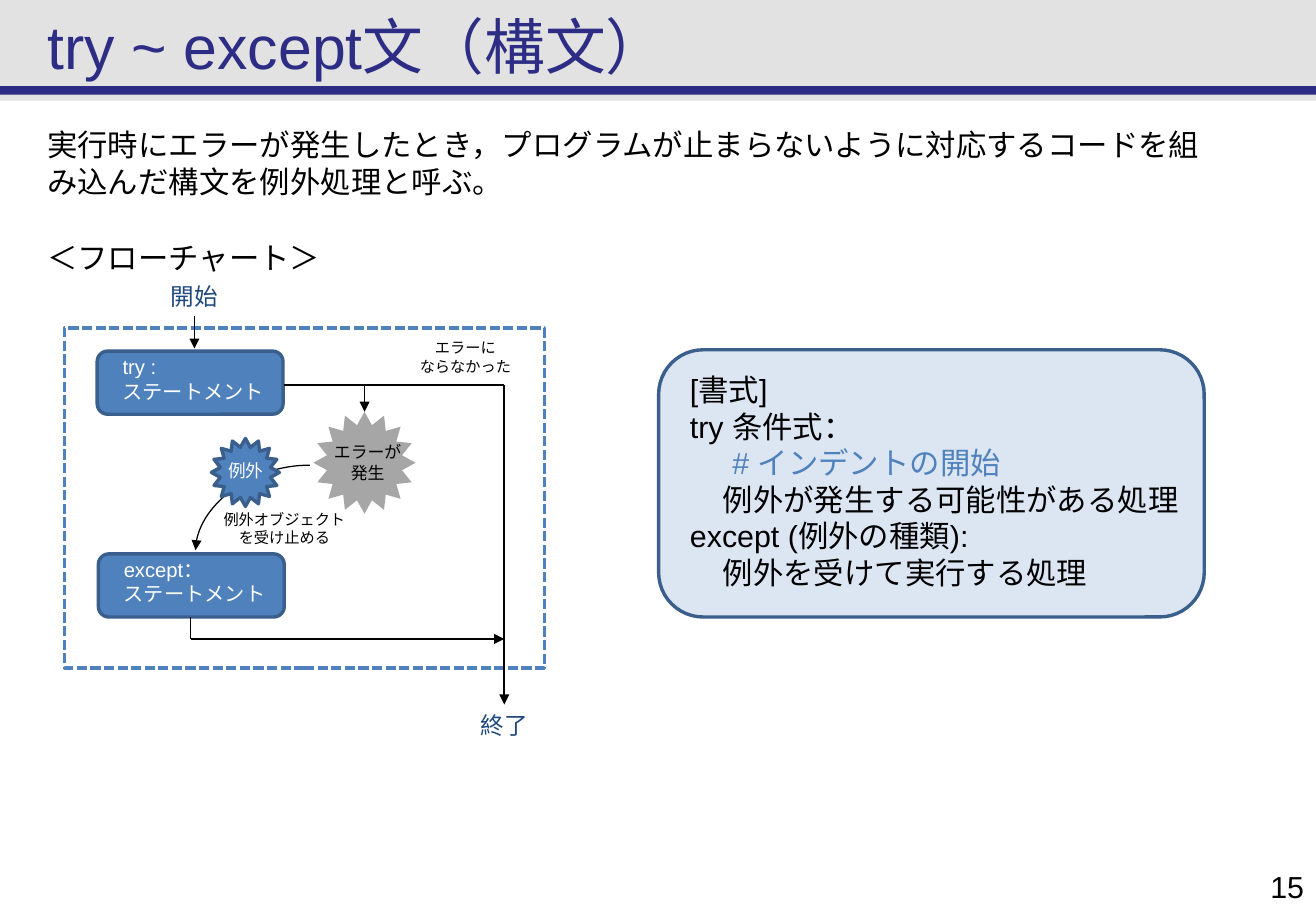
from dataclasses import dataclass

import lxml.etree
import pptx
import pptx.dml.color
import pptx.enum.dml
import pptx.enum.shapes
import pptx.enum.text
import pptx.oxml.ns
import pptx.util

Inches = pptx.util.Inches
Pt = pptx.util.Pt
SHAPE = pptx.enum.shapes.MSO_SHAPE
CONNECTOR = pptx.enum.shapes.MSO_CONNECTOR
ALIGN = pptx.enum.text.PP_ALIGN
ANCHOR = pptx.enum.text.MSO_ANCHOR
qn = pptx.oxml.ns.qn


@dataclass(frozen=True)
class Theme:
    latin: str = "Arial"
    japanese: str = "Noto Sans CJK JP"
    black: str = "000000"
    white: str = "FFFFFF"
    banner: str = "E2E2E2"
    navy: str = "2D2D85"
    blue: str = "4F81BD"
    outline: str = "3A5F8C"
    panel: str = "DCE6F2"
    error: str = "A6A6A6"
    terminal: str = "1F497D"
    title_size: float = 36
    body_size: float = 18
    terminal_size: float = 14
    step_size: float = 12
    exception_size: float = 10.5
    error_size: float = 10
    note_size: float = 9


@dataclass(frozen=True)
class Box:
    left: float
    top: float
    width: float
    height: float

    def inner(self, left, top, width, height):
        return Box(self.left + left, self.top + top, width, height)

    def point(self, x, y):
        return self.left + x, self.top + y

    def lengths(self):
        return [Inches(v) for v in (self.left, self.top, self.width, self.height)]


THEME = Theme()


def rgb(color):
    return pptx.dml.color.RGBColor.from_string(color)


def add_text(slide, box, text, size=THEME.body_size, color=THEME.black, align=ALIGN.LEFT,
             anchor=ANCHOR.TOP, indents=None, line_colors=None):
    frame = slide.shapes.add_textbox(*box.lengths()).text_frame
    frame.word_wrap = True
    frame.vertical_anchor = anchor
    for index, line in enumerate(text.split("\n")):
        paragraph = frame.paragraphs[0] if index == 0 else frame.add_paragraph()
        paragraph.alignment = align
        if indents and index in indents:
            paragraph._p.get_or_add_pPr().set("marL", str(Inches(indents[index])))
        run = paragraph.add_run()
        run.text = line
        run.font.size = Pt(size)
        run.font.name = THEME.latin
        run.font.color.rgb = rgb((line_colors or {}).get(index, color))
        properties = run._r.get_or_add_rPr()
        lxml.etree.SubElement(properties, qn("a:ea")).set("typeface", THEME.japanese)


def add_block(slide, box, kind, fill=None, line=None, dashed=False):
    block = slide.shapes.add_shape(kind, *box.lengths())
    block.shadow.inherit = False
    if fill:
        block.fill.solid()
        block.fill.fore_color.rgb = rgb(fill)
    else:
        block.fill.background()
    if line:
        block.line.color.rgb = rgb(line)
        block.line.width = Pt(2)
        if dashed:
            block.line.dash_style = pptx.enum.dml.MSO_LINE.SQUARE_DOT
    else:
        block.line.fill.background()


def add_flow(slide, start, end, width=1, arrow=False, curved=False):
    kind = CONNECTOR.CURVE if curved else CONNECTOR.STRAIGHT
    flow = slide.shapes.add_connector(kind, *[Inches(v) for v in (*start, *end)])
    flow.line.color.rgb = rgb(THEME.black)
    flow.line.width = Pt(width)
    properties = flow._element.spPr
    if curved:
        properties.find(qn("a:prstGeom")).set("prst", "curvedConnector2")
    if arrow:
        tail = lxml.etree.SubElement(properties.find(qn("a:ln")), qn("a:tailEnd"))
        tail.set("type", "triangle")
    lxml.etree.SubElement(properties, qn("a:effectLst"))


def draw_banner(slide, box):
    add_block(slide, box, SHAPE.RECTANGLE, THEME.banner)
    add_block(slide, box.inner(0, 0.71, box.width, 0.07), SHAPE.RECTANGLE, THEME.navy)
    add_text(slide, box.inner(0.29, 0, 8.63, 0.75), "try ~ except文（構文）",
             size=THEME.title_size, color=THEME.navy, anchor=ANCHOR.MIDDLE)


def draw_page_number(slide, box):
    add_text(slide, box, "15", align=ALIGN.RIGHT, anchor=ANCHOR.MIDDLE)


def draw_introduction(slide, box):
    add_text(slide, box.inner(0, 0, box.width, 0.71),
             "実行時にエラーが発生したとき，プログラムが止まらないように対応するコードを"
             "組み込んだ構文を例外処理と呼ぶ。")
    add_text(slide, box.inner(0, 0.93, 2.67, 0.4), "＜フローチャート＞")


def draw_syntax(slide, box):
    add_block(slide, box, SHAPE.ROUNDED_RECTANGLE, THEME.panel, THEME.outline)
    lines = ["[書式]", "try 条件式：", "# インデントの開始",
             "例外が発生する可能性がある処理", "except (例外の種類):", "例外を受けて実行する処理"]
    add_text(slide, box.inner(0.16, 0.13, 4.96, 1.92), "\n".join(lines),
             indents={2: 0.35, 3: 0.27, 5: 0.27}, line_colors={2: THEME.blue})


def draw_step(slide, box, keyword):
    add_block(slide, box, SHAPE.ROUNDED_RECTANGLE, THEME.blue, THEME.outline)
    add_text(slide, box.inner(0.11, -0.02, 1.38, 0.55), f"{keyword}\nステートメント",
             size=THEME.step_size, color=THEME.white)


def draw_flowchart(slide, box):
    point = box.point
    add_block(slide, box, SHAPE.RECTANGLE, line=THEME.blue, dashed=True)
    add_block(slide, box.inner(2.05, 0.69, 0.84, 0.84), SHAPE.STAR_16_POINT, THEME.error)
    draw_step(slide, box.inner(0.27, 0.19, 1.53, 0.52), "try :")
    draw_step(slide, box.inner(0.28, 1.86, 1.53, 0.52), "except：")

    exit_x, branch_y, return_x, return_y = 3.62, 0.47, 1.04, 2.56
    add_flow(slide, point(1.07, -0.1), point(1.07, 0.17), arrow=True)
    add_flow(slide, point(2.47, branch_y), point(2.47, 0.69), arrow=True)
    add_flow(slide, point(exit_x, branch_y), point(1.81, branch_y), width=1.25)
    add_flow(slide, point(exit_x, branch_y), point(exit_x, 3.1), arrow=True)
    add_flow(slide, point(return_x, return_y), point(exit_x, return_y), width=1.25, arrow=True)
    add_flow(slide, point(return_x, return_y), point(return_x, 2.38), width=0.75)
    add_flow(slide, point(2.02, 1.13), point(1.08, 1.83), width=0.75, arrow=True, curved=True)

    add_block(slide, box.inner(1.21, 0.91, 0.56, 0.56), SHAPE.STAR_16_POINT,
              THEME.blue, THEME.outline)
    labels = [
        ((2.02, 0.89, 0.95, 0.48), "エラーが\n発生", THEME.error_size, THEME.black),
        ((1.18, 1.04, 0.63, 0.28), "例外", THEME.exception_size, THEME.white),
        ((1.16, 1.45, 1.3, 0.44), "例外オブジェクトを受け止める", THEME.note_size, THEME.black),
        ((2.65, 0.04, 1.3, 0.44), "エラーに\nならなかった", THEME.note_size, THEME.black),
        ((0.51, -0.43, 1.12, 0.34), "開始", THEME.terminal_size, THEME.terminal),
        ((3.06, 3.1, 1.12, 0.34), "終了", THEME.terminal_size, THEME.terminal),
    ]
    for place, text, size, color in labels:
        add_text(slide, box.inner(*place), text, size=size, color=color, align=ALIGN.CENTER)


def main():
    deck = pptx.Presentation()
    deck.slide_width, deck.slide_height = Inches(10.83), Inches(7.5)
    slide = deck.slides.add_slide(deck.slide_layouts[6])
    draw_banner(slide, Box(0, 0, 10.83, 0.83))
    draw_page_number(slide, Box(9.57, 7.1, 1.26, 0.4))
    draw_introduction(slide, Box(0.29, 0.99, 9.85, 1.33))
    draw_syntax(slide, Box(5.42, 2.88, 4.49, 2.2))
    draw_flowchart(slide, Box(0.53, 2.7, 3.95, 2.8))
    deck.save("out.pptx")


if __name__ == "__main__":
    main()
